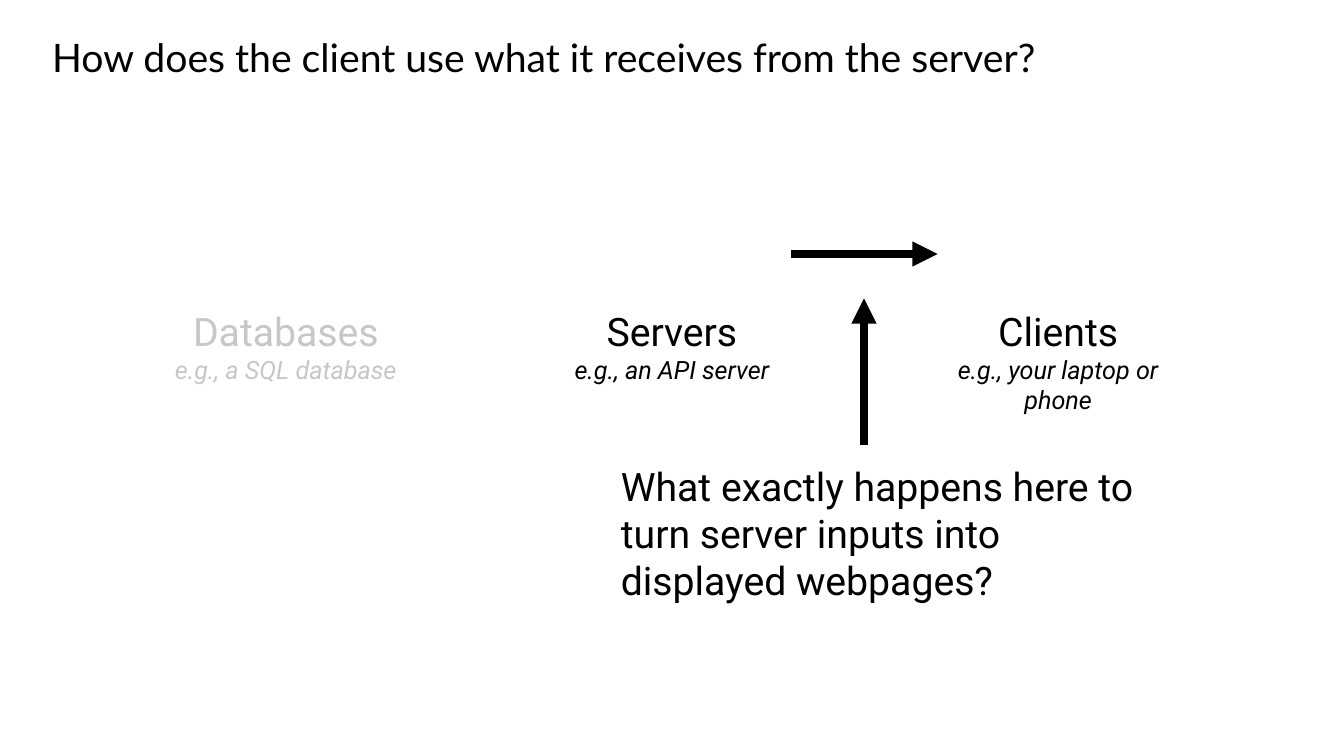
from dataclasses import dataclass

from lxml.etree import SubElement
from pptx import Presentation
from pptx.dml.color import RGBColor
from pptx.enum.shapes import MSO_CONNECTOR, MSO_SHAPE
from pptx.enum.text import PP_ALIGN
from pptx.oxml.ns import qn
from pptx.util import Inches, Pt


@dataclass(frozen=True)
class Theme:
    ink: RGBColor = RGBColor(0x00, 0x00, 0x00)
    paper: RGBColor = RGBColor(0xFF, 0xFF, 0xFF)
    title_font: str = "Lato"
    body_font: str = "Roboto"
    large: Pt = Pt(28)
    small: Pt = Pt(18)
    arrow: Pt = Pt(6)


THEME = Theme()

TIERS = [
    ("Databases", "e.g., a SQL database"),
    ("Servers", "e.g., an API server"),
    ("Clients", "e.g., your laptop or phone"),
]
TIER_LEFT, TIER_TOP, TIER_PITCH = 1.47, 3, 3.83


def add_text_frame(slide, left, top, width, height):
    box = slide.shapes.add_textbox(
        Inches(left), Inches(top), Inches(width), Inches(height))
    tf = box.text_frame
    tf.word_wrap = True
    return tf


def add_run(p, text, size=THEME.large, font=THEME.body_font, italic=False):
    r = p.add_run()
    r.text = text
    r.font.name = font
    r.font.size = size
    r.font.italic = italic
    r.font.color.rgb = THEME.ink


def add_title(slide, text):
    p = add_text_frame(slide, 0.42, 0.33, 12.5, 1).paragraphs[0]
    p.line_spacing = 0.9
    add_run(p, text, font=THEME.title_font)


def add_tier(slide, left, name, example):
    tf = add_text_frame(slide, left, TIER_TOP, 2.73, 0.91)
    heading, detail = tf.paragraphs[0], tf.add_paragraph()
    heading.alignment = detail.alignment = PP_ALIGN.CENTER
    add_run(heading, name)
    add_run(detail, example, size=THEME.small, italic=True)


def add_veil(slide, left, top, width, height, opacity):
    """Fade what lies beneath with a translucent sheet of paper colour."""
    sp = slide.shapes.add_shape(
        MSO_SHAPE.RECTANGLE,
        Inches(left), Inches(top), Inches(width), Inches(height))
    sp.shadow.inherit = False
    sp.line.fill.background()
    sp.fill.solid()
    sp.fill.fore_color.rgb = THEME.paper
    color = sp.fill._xPr.find(qn("a:solidFill")).find(qn("a:srgbClr"))
    SubElement(color, qn("a:alpha"), val=str(opacity * 1000))


def add_arrow(slide, x1, y1, x2, y2):
    arrow = slide.shapes.add_connector(
        MSO_CONNECTOR.STRAIGHT,
        Inches(x1), Inches(y1), Inches(x2), Inches(y2))
    arrow.line.color.rgb = THEME.ink
    arrow.line.width = THEME.arrow
    SubElement(arrow.line._get_or_add_ln(), qn("a:tailEnd"), type="triangle")
    SubElement(arrow._element.spPr, qn("a:effectLst"))


def main():
    prs = Presentation()
    prs.slide_width, prs.slide_height = Inches(13.33), Inches(7.5)
    slide = prs.slides.add_slide(prs.slide_layouts[6])

    add_title(slide, "How does the client use what it receives from the server?")
    for i, (name, example) in enumerate(TIERS):
        add_tier(slide, TIER_LEFT + i * TIER_PITCH, name, example)
    add_veil(slide, 1.11, 1.63, 3.83, 2.41, opacity=78)

    question = add_text_frame(slide, 6.06, 4.54, 5.47, 1.51)
    add_run(question.paragraphs[0],
            "What exactly happens here to turn server inputs into "
            "displayed webpages?")
    add_arrow(slide, 7.85, 2.52, 9.3, 2.52)
    add_arrow(slide, 8.57, 4.41, 8.57, 2.96)

    prs.save("out.pptx")


if __name__ == "__main__":
    main()
